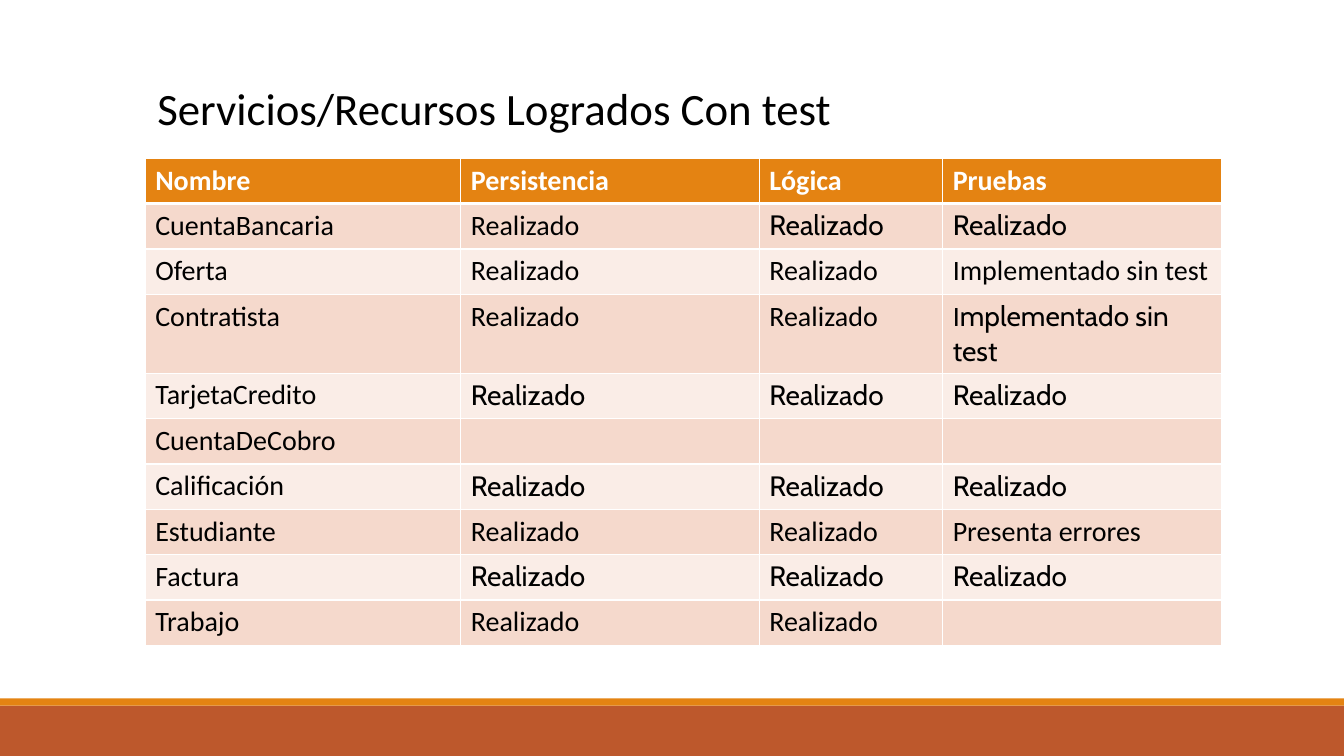
from lxml import etree
from pptx import Presentation
from pptx.dml.color import RGBColor
from pptx.enum import shapes, text
from pptx.oxml.ns import qn
from pptx.util import Inches, Pt

ORANGE, RUST, WHITE, BLACK = "E48312", "BD582C", "FFFFFF", "000000"
BANDS = ["FAEDE7", "F5D9CC"]


def paint(fill, color):
    fill.solid()
    fill.fore_color.rgb = RGBColor.from_string(color)


def border(cell, side, points):
    """Give one side (L, R, T or B) of a cell a white line."""
    line = etree.SubElement(cell._tc.get_or_add_tcPr(), qn(f"a:ln{side}"), w=str(Pt(points)))
    solid = etree.SubElement(line, qn("a:solidFill"))
    etree.SubElement(solid, qn("a:srgbClr"), val=WHITE)


prs = Presentation()
prs.slide_width, prs.slide_height = Inches(13.33), Inches(7.5)
slide = prs.slides.add_slide(prs.slide_layouts[5])

# Footer bands
for top, height, color in [(7, 0.5, RUST), (6.93, 0.07, ORANGE)]:
    band = slide.shapes.add_shape(
        shapes.MSO_SHAPE.RECTANGLE, 0, Inches(top), prs.slide_width, Inches(height))
    band.shadow.inherit = False
    paint(band.fill, color)
    band.line.fill.background()

# Title
title = slide.shapes.title
title.left, title.top, title.width, title.height = map(Inches, (1.46, 0.75, 8.98, 0.64))
title.text = "Servicios/Recursos Logrados Con test"
title.text_frame.vertical_anchor = text.MSO_ANCHOR.TOP
title.text_frame.auto_size = text.MSO_AUTO_SIZE.NONE
heading = title.text_frame.paragraphs[0]
heading.alignment = text.PP_ALIGN.LEFT
for name, value in {"name": "Calibri", "size": Pt(32)}.items():
    setattr(heading.font, name, value)
heading.font.color.rgb = RGBColor.from_string(BLACK)

# Service status: the part of a cell after "|" is set in Cabin, the rest in Calibri
DONE, DONE_CABIN = "Realizado", "|Realizado"
services = [
    ["Nombre", "Persistencia", "Lógica", "Pruebas"],
    ["CuentaBancaria", DONE, DONE_CABIN, DONE_CABIN],
    ["Oferta", DONE, DONE, "Implementado sin test"],
    ["Contratista", DONE, DONE, "I|mplementado sin test"],
    ["TarjetaCredito"] + [DONE_CABIN] * 3,
    ["CuentaDeCobro", "", "", ""],
    ["Calificación"] + [DONE_CABIN] * 3,
    ["Estudiante", DONE, DONE, "Presenta errores"],
    ["Factura"] + [DONE_CABIN] * 3,
    ["Trabajo", DONE, DONE, ""],
]
column_widths = [3.13, 2.96, 1.82, 2.77]
row_height = 0.45
status = slide.shapes.add_table(
    len(services), len(column_widths), Inches(1.44), Inches(1.57),
    Inches(sum(column_widths)), Inches(row_height * len(services))).table
for column, width in zip(status.columns, column_widths):
    column.width = Inches(width)

for r, service in enumerate(services):
    status.rows[r].height = Inches(row_height)
    is_header = r == 0
    for c, entry in enumerate(service):
        cell = status.cell(r, c)
        for side in "LRTB":
            thick = (is_header and side == "B") or (r == 1 and side == "T")
            border(cell, side, 3 if thick else 1)
        paint(cell.fill, ORANGE if is_header else BANDS[r % 2])
        for part, typeface in zip(entry.split("|"), ["Calibri", "Cabin"]):
            if not part:
                continue
            run = cell.text_frame.paragraphs[0].add_run()
            run.text = part
            for name, value in {"name": typeface, "size": Pt(20), "bold": is_header}.items():
                setattr(run.font, name, value)
            run.font.color.rgb = RGBColor.from_string(WHITE if is_header else BLACK)

prs.save("out.pptx")
